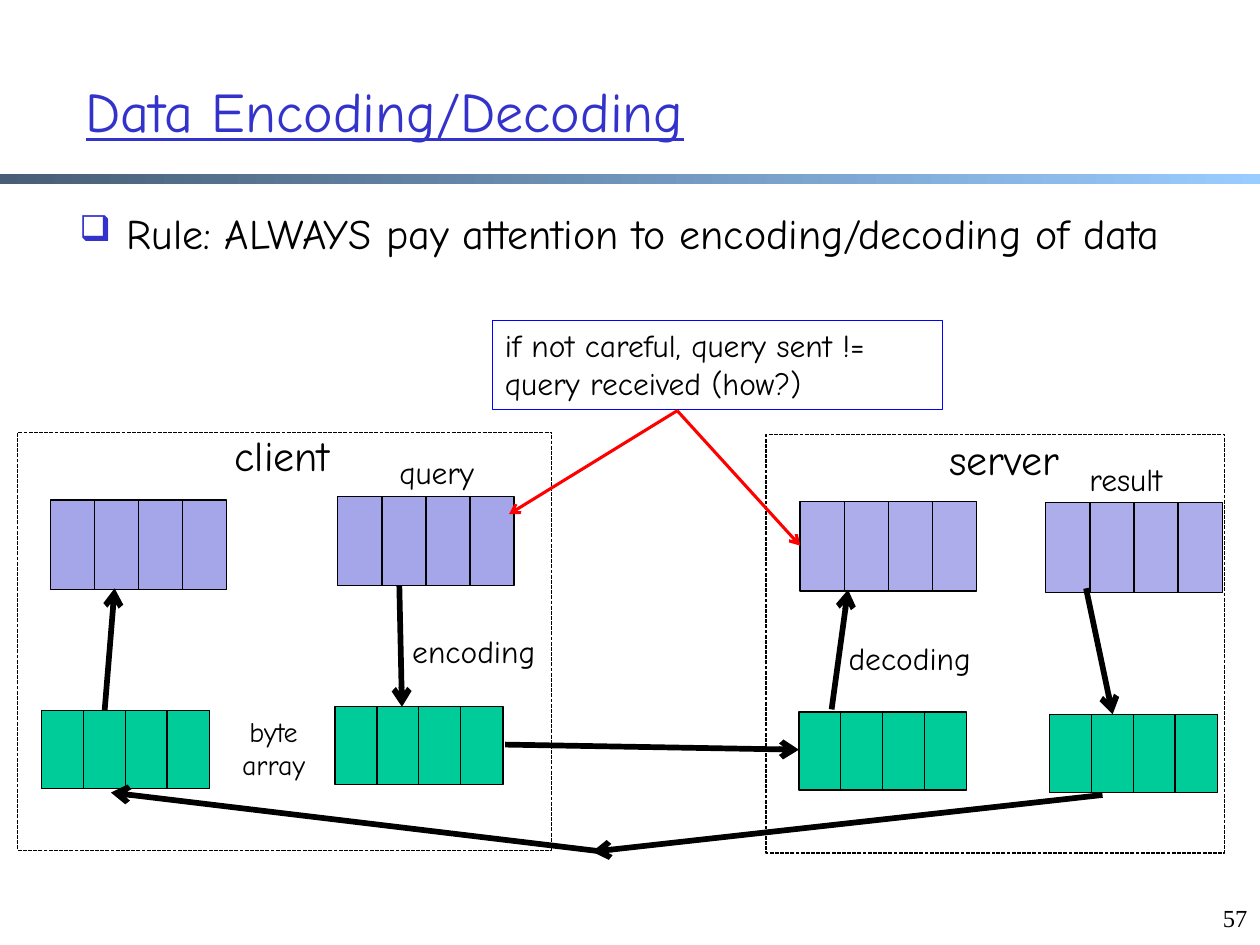
from dataclasses import dataclass

from lxml.etree import SubElement
from pptx import Presentation
from pptx.dml.color import RGBColor
from pptx.enum.dml import MSO_LINE_DASH_STYLE as Dash
from pptx.enum.shapes import MSO_CONNECTOR_TYPE as Connector
from pptx.enum.shapes import MSO_SHAPE as Preset
from pptx.enum.text import MSO_ANCHOR as Anchor
from pptx.enum.text import PP_ALIGN as Align
from pptx.oxml.ns import qn
from pptx.util import Pt

HAND_FONT = "Comic Neue"
BLACK, WHITE, RED, BLUE, TITLE_BLUE = "000000", "FFFFFF", "FF0000", "0000FF", "3333CC"
CLIENT_PURPLE, SERVER_PURPLE, GREEN = "A5A5E9", "ADADEB", "00CC99"


@dataclass(frozen=True)
class Label:
    text: str
    left: float
    top: float
    width: float
    height: float
    size: float = 18
    color: str = BLACK
    font: str = HAND_FONT
    align: Align = Align.CENTER
    anchor: Anchor = Anchor.TOP
    wrap: bool = False


@dataclass(frozen=True)
class CellStyle:
    width: float
    height: float
    pitch: float


@dataclass(frozen=True)
class Buffer:
    left: float
    top: float
    fill: str
    style: CellStyle


@dataclass(frozen=True)
class Arrow:
    start: tuple[float, float]
    end: tuple[float, float]
    color: str = BLACK
    weight: float = 3.25


OBJECT_CELLS = CellStyle(25.2, 51.1, 25.2)
BYTE_CELLS = CellStyle(24.3, 44.6, 23.9)

TITLE = Label("Data Encoding/Decoding", 41.8, 18, 612, 90, 32, TITLE_BLUE,
              align=Align.LEFT, anchor=Anchor.MIDDLE, wrap=True)
RULE = Label("Rule: ALWAYS pay attention to encoding/decoding of data",
             38.2, 115.2, 644.4, 365.8, 24, align=Align.LEFT, wrap=True)
WARNING = Label("if not careful, query sent != query received (how?)",
                281.5, 183, 257, 51, align=Align.LEFT, wrap=True)
LABELS = [
    Label("57", 684, 512.6, 36, 36, 14, font="Times New Roman", align=Align.RIGHT),
    Label("client", 122.4, 241.9, 77.8, 36, 24),
    Label("server", 529.9, 244.1, 87.8, 36, 24),
    Label("query", 172.1, 255.6, 154.8, 28.8, wrap=True),
    Label("result", 565.9, 259.2, 154.8, 28.8, wrap=True),
    Label("encoding", 226.8, 357.8, 87.8, 28.8),
    Label("decoding", 475.2, 361.4, 89.3, 28.8),
    Label("byte\narray", 128.2, 404.6, 56.2, 46.1, 16),
]
FRAMES = [(10.1, 247, 305.3, 239), (437.8, 248.4, 262.1, 239)]
BUFFERS = [
    Buffer(28.8, 285.8, CLIENT_PURPLE, OBJECT_CELLS),
    Buffer(193, 283.7, CLIENT_PURPLE, OBJECT_CELLS),
    Buffer(457.2, 286.6, SERVER_PURPLE, OBJECT_CELLS),
    Buffer(597.6, 287.3, SERVER_PURPLE, OBJECT_CELLS),
    Buffer(23.8, 406.1, GREEN, BYTE_CELLS),
    Buffer(191.5, 403.9, GREEN, BYTE_CELLS),
    Buffer(456.5, 406.8, GREEN, BYTE_CELLS),
    Buffer(599.8, 408.2, GREEN, BYTE_CELLS),
]
ARROWS = [
    Arrow((228.2, 334.8), (229.7, 403.9)),
    Arrow((288.7, 425.5), (456.5, 428.4)),
    Arrow((475.2, 405.4), (484.6, 337)),
    Arrow((620.6, 336.2), (635.8, 408.2)),
    Arrow((630, 454.3), (338.4, 486.7)),
    Arrow((344.9, 486.7), (63.4, 452.9)),
    Arrow((59.8, 406.1), (65.5, 336.2)),
    Arrow((387, 234.7), (457.2, 311.8), RED, 1.75),
    Arrow((387, 234.7), (290.9, 293.8), RED, 1.75),
]


def rgb(color: str) -> RGBColor:
    """Turn a hex string into a colour."""
    return RGBColor.from_string(color)


def add_rectangle(page, left: float, top: float, width: float, height: float,
                  fill: str, line: str = BLACK):
    """Draw a plain rectangle with a thin outline."""
    shape = page.shapes.add_shape(
        Preset.RECTANGLE, Pt(left), Pt(top), Pt(width), Pt(height))
    shape.shadow.inherit = False
    shape.fill.solid()
    shape.fill.fore_color.rgb = rgb(fill)
    shape.line.color.rgb = rgb(line)
    shape.line.width = Pt(0.75)
    return shape


def add_band(page) -> None:
    """Draw the gradient band below the title."""
    band = add_rectangle(page, 0, 99.4, 720, 5.8, WHITE)
    band.line.fill.background()
    band.fill.gradient()
    band.fill.gradient_angle = 0
    for stop, color in zip(band.fill.gradient_stops, ("475E76", "99CCFF")):
        stop.color.rgb = rgb(color)


def add_label(page, label: Label):
    """Place a text box and return its first paragraph."""
    box = page.shapes.add_textbox(
        Pt(label.left), Pt(label.top), Pt(label.width), Pt(label.height))
    frame = box.text_frame
    frame.word_wrap = label.wrap
    frame.vertical_anchor = label.anchor
    frame.text = label.text
    for para in frame.paragraphs:
        para.alignment = label.align
        para.font.name = label.font
        para.font.size = Pt(label.size)
        para.font.color.rgb = rgb(label.color)
    return frame.paragraphs[0]


def add_bullet(para, symbol: str, color: str, percent: int, indent: float) -> None:
    """Give a paragraph a coloured bullet and a hanging indent."""
    properties = para._p.get_or_add_pPr()
    properties.set("marL", str(Pt(indent)))
    properties.set("indent", str(-Pt(indent)))
    bullet_color = SubElement(properties, qn("a:buClr"))
    SubElement(bullet_color, qn("a:srgbClr"), val=color)
    SubElement(properties, qn("a:buSzPct"), val=str(percent * 1000))
    SubElement(properties, qn("a:buChar"), char=symbol)
    for defaults in properties.findall(qn("a:defRPr")):
        properties.append(defaults)


def add_buffer(page, buffer: Buffer) -> None:
    """Draw a buffer as four adjoining cells."""
    style = buffer.style
    for index in range(4):
        add_rectangle(page, buffer.left + index * style.pitch, buffer.top,
                      style.width, style.height, buffer.fill)


def add_arrow(page, arrow: Arrow) -> None:
    """Draw a straight line with an open arrowhead at its end."""
    line = page.shapes.add_connector(
        Connector.STRAIGHT, *(Pt(value) for value in arrow.start + arrow.end))
    line.line.color.rgb = rgb(arrow.color)
    line.line.width = Pt(arrow.weight)
    SubElement(line.line._get_or_add_ln(), qn("a:tailEnd"), type="arrow")
    SubElement(line._element.spPr, qn("a:effectLst"))


def main() -> None:
    """Build the slide and save the deck."""
    deck = Presentation()
    deck.slide_width, deck.slide_height = Pt(720), Pt(540)
    page = deck.slides.add_slide(deck.slide_layouts[6])
    add_band(page)
    add_label(page, TITLE).font.underline = True
    add_bullet(add_label(page, RULE), "❑", TITLE_BLUE, 85, 27)
    for frame in FRAMES:
        add_rectangle(page, *frame, WHITE).line.dash_style = Dash.SQUARE_DOT
    for buffer in BUFFERS:
        add_buffer(page, buffer)
    add_rectangle(page, WARNING.left, WARNING.top, WARNING.width, WARNING.height,
                  WHITE, BLUE)
    for label in [WARNING, *LABELS]:
        add_label(page, label)
    for arrow in ARROWS:
        add_arrow(page, arrow)
    deck.save("out.pptx")


if __name__ == "__main__":
    main()
